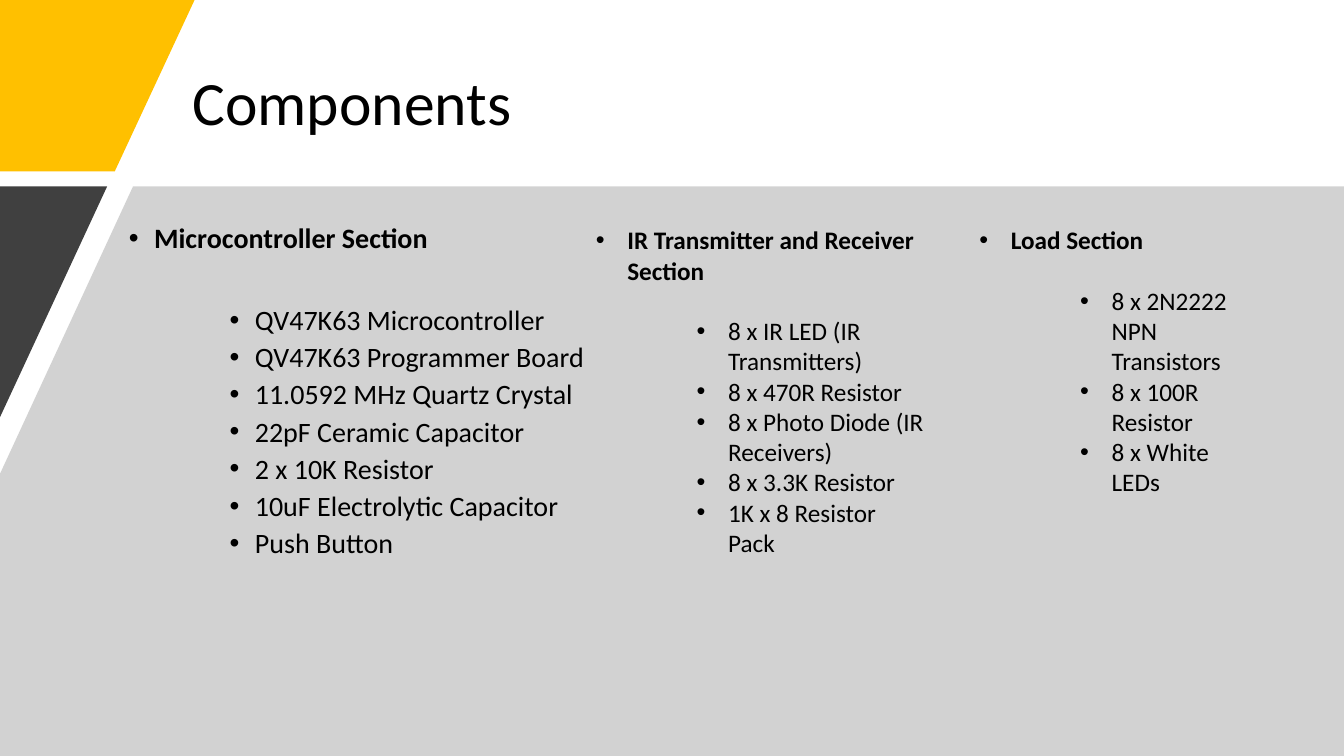
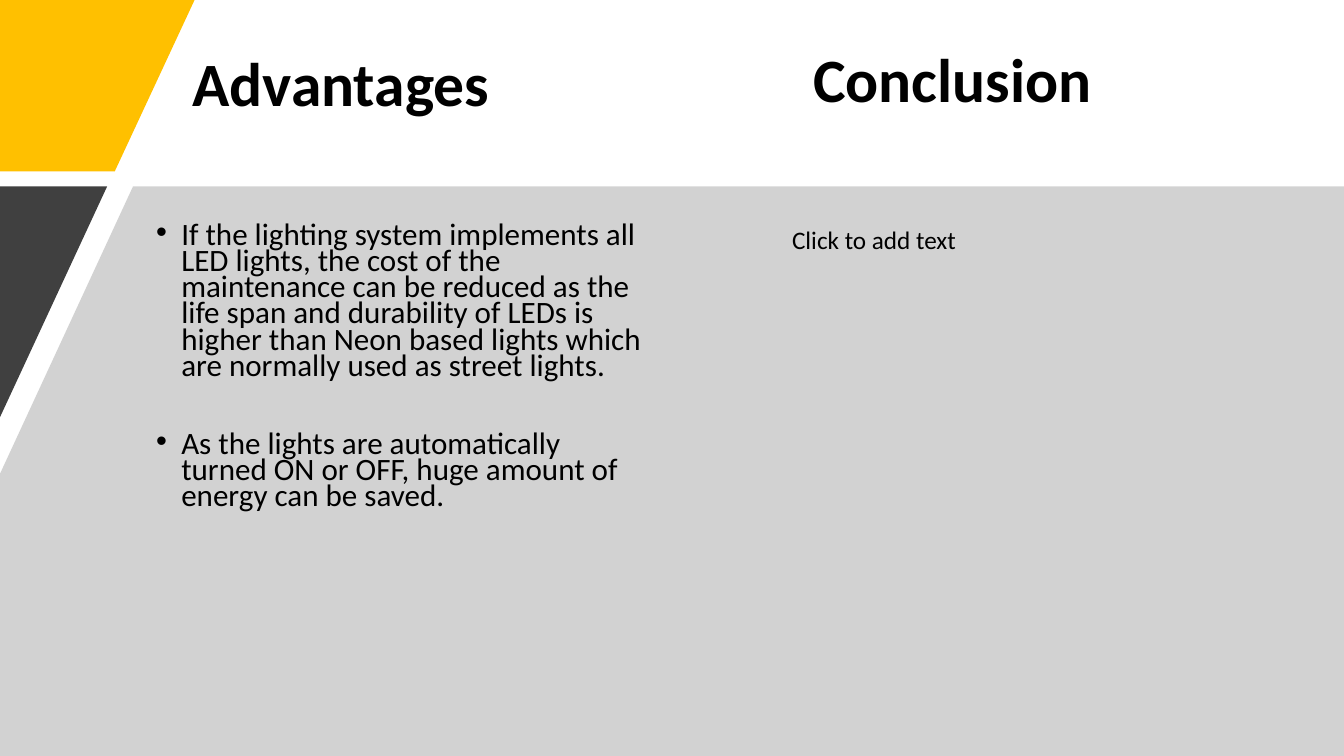
from pptx import Presentation
from pptx.dml.color import RGBColor
from pptx.enum import text
from pptx.oxml import ns, xmlchemy
from pptx.util import Pt

FONT = "Calibri"
BLACK, YELLOW, GREY, CHARCOAL = "000000", "FFC000", "A6A6A6", "404040"
WIDTH, HEIGHT = 960, 540
BAND_TOP = 133.2
BODY_TOP = 157


def colour(value):
    return RGBColor.from_string(value)


def add_element(parent, tag, **attributes):
    element = xmlchemy.OxmlElement(tag)
    for name, value in attributes.items():
        element.set(name, value)
    parent.append(element)


def style(para, size, bold=False):
    para.alignment = text.PP_ALIGN.LEFT
    para.font.name = FONT
    para.font.size = Pt(size)
    para.font.bold = bold
    para.font.color.rgb = colour(BLACK)


def add_outline(page, points, fill, opacity=None):
    start, *rest = [(Pt(x), Pt(y)) for x, y in points]
    builder = page.shapes.build_freeform(*start)
    builder.add_line_segments(rest, close=True)
    shape = builder.convert_to_shape()
    shape.shadow.inherit = False
    shape.line.fill.background()
    shape.fill.solid()
    shape.fill.fore_color.rgb = colour(fill)
    if opacity:
        solid = shape.element.spPr.find(ns.qn("a:solidFill"))
        add_element(solid[0], "a:alpha", val=str(opacity * 1000))


def add_bands(page):
    add_outline(page, [(0, 0), (139, 0), (82, 122.4), (0, 122.4)], YELLOW)
    add_outline(page, [(95, BAND_TOP), (WIDTH, BAND_TOP), (WIDTH, HEIGHT),
                       (0, HEIGHT), (0, 338.4)], GREY, opacity=50)
    add_outline(page, [(0, BAND_TOP), (76.5, BAND_TOP), (0, 298)], CHARCOAL)


def add_page(deck, title, top, width, bold=False):
    page = deck.slides.add_slide(deck.slide_layouts[5])
    box = page.shapes.title
    box.left, box.top, box.width, box.height = map(Pt, (130.3, top, width, 93.6))
    frame = box.text_frame
    frame.text = title
    frame.auto_size = text.MSO_AUTO_SIZE.NONE
    frame.vertical_anchor = text.MSO_ANCHOR.MIDDLE
    para = frame.paragraphs[0]
    para.line_spacing = 0.9
    style(para, 44, bold)
    add_bands(page)
    return page


def add_frame(page, left, top, width, height):
    frame = page.shapes.add_textbox(*map(Pt, (left, top, width, height))).text_frame
    frame.word_wrap = True
    return frame


def add_label(page, wording, box, size, bold=False):
    para = add_frame(page, *box).paragraphs[0]
    para.text = wording
    style(para, size, bold)


def write_bullet(para, wording, size, margin, hang, spacing, before, bold=False):
    para.text = wording
    para.line_spacing = spacing
    para.space_before = Pt(before)
    properties = para._p.get_or_add_pPr()
    properties.set("marL", str(Pt(margin)))
    properties.set("indent", str(-Pt(hang)))
    add_element(properties, "a:buFont", typeface="Arial")
    add_element(properties, "a:buChar", char="•")
    style(para, size, bold)


def add_section(page, box, heading, parts, size, hang, spacing, first_gap, gap):
    frame = add_frame(page, *box)
    write_bullet(frame.paragraphs[0], heading, size, hang, hang, spacing, 0, bold=True)
    for index, part in enumerate(parts):
        before = gap if index else first_gap
        write_bullet(frame.add_paragraph(), part, size, hang + 72, hang, spacing, before)


def build_components(deck):
    page = add_page(deck, "Components", 28.8, 737)
    add_section(page, (85, BODY_TOP, 401, 318), "Microcontroller Section",
                ["QV47K63 Microcontroller", "QV47K63 Programmer Board",
                 "11.0592 MHz Quartz Crystal", "22pF Ceramic Capacitor",
                 "2 x 10K Resistor", "10uF Electrolytic Capacitor", "Push Button"],
                size=20, hang=18, spacing=0.9, first_gap=36.8, gap=4.9)
    side = dict(size=18, hang=22.5, spacing=1.0, first_gap=21.6, gap=0)
    add_section(page, (418.5, BODY_TOP, 251, 247), "IR Transmitter and Receiver Section",
                ["8 x IR LED (IR Transmitters)", "8 x 470R Resistor",
                 "8 x Photo Diode (IR Receivers)", "8 x 3.3K Resistor",
                 "1K x 8 Resistor Pack"], **side)
    add_section(page, (692.5, BODY_TOP, 216, 204), "Load Section",
                ["8 x 2N2222 NPN Transistors", "8 x 100R Resistor", "8 x White LEDs"],
                **side)


def build_advantages(deck):
    page = add_page(deck, "Advantages", 15, 254, bold=True)
    frame = add_frame(page, 104.4, BODY_TOP, 368.6, 220)
    points = [
        "If the lighting system implements all LED lights, the cost of the maintenance "
        "can be reduced as the life span and durability of LEDs is higher than Neon "
        "based lights which are normally used as street lights.",
        "As the lights are automatically turned ON or OFF, huge amount of energy can be saved.",
    ]
    for index, point in enumerate(points):
        para = frame.add_paragraph() if index else frame.paragraphs[0]
        write_bullet(para, point, 22.2, 18, 18, 0.7, 37 * index)
    add_label(page, "Conclusion", (573.8, 26, 216, 60.5), 44, bold=True)
    add_label(page, "Click to add text", (558.7, BODY_TOP, 216, 29), 18)


def main():
    deck = Presentation()
    deck.slide_width, deck.slide_height = Pt(WIDTH), Pt(HEIGHT)
    build_components(deck)
    build_advantages(deck)
    deck.save("out.pptx")


if __name__ == "__main__":
    main()
